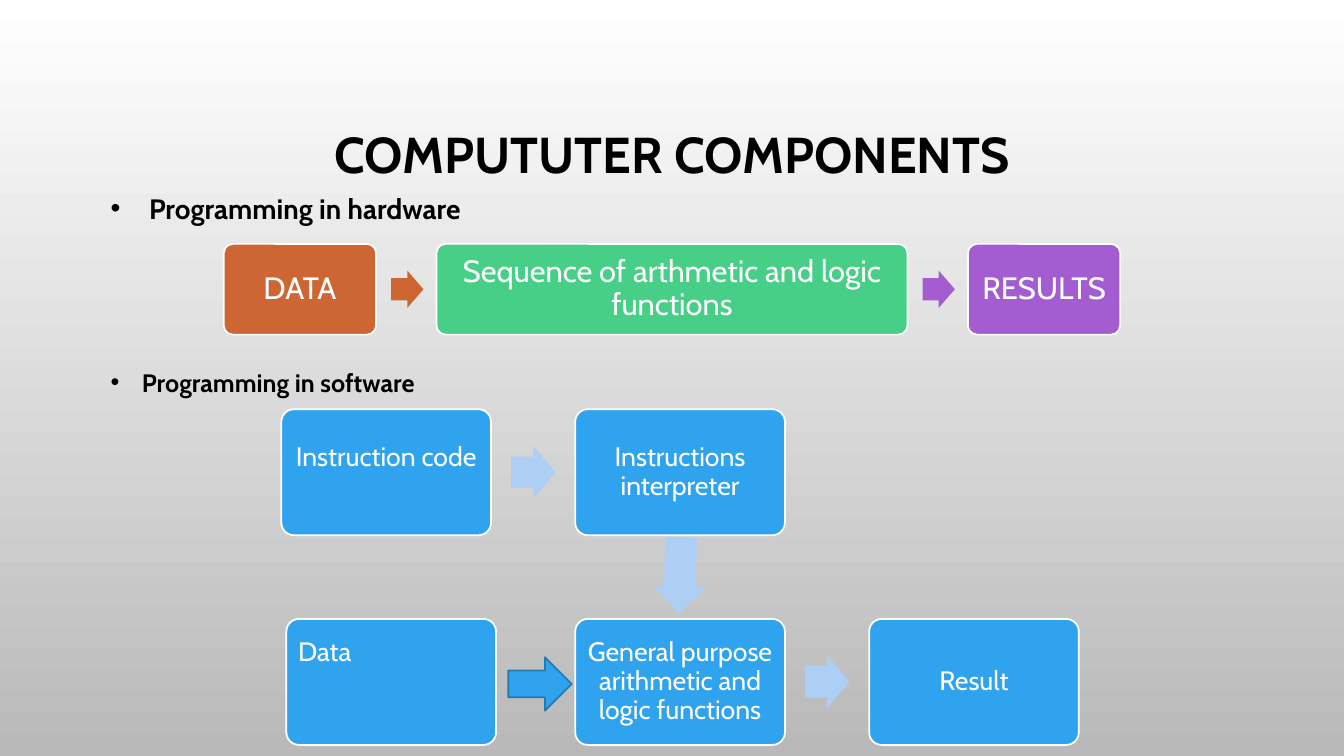
from dataclasses import dataclass

from lxml.etree import SubElement
from pptx import Presentation
from pptx.dml.color import RGBColor
from pptx.enum.shapes import MSO_SHAPE
from pptx.enum.text import MSO_ANCHOR, PP_ALIGN
from pptx.oxml.ns import qn
from pptx.util import Inches, Pt


@dataclass(frozen=True)
class Theme:
    font: str = "Cabin"
    ink: str = "000000"
    white: str = "FFFFFF"
    backdrop_end: str = "B9B9B9"
    orange: str = "CE6633"
    green: str = "48CF87"
    purple: str = "A35DD1"
    blue: str = "2FA3EE"
    blue_edge: str = "2379B0"
    pale_blue: str = "ADCEF5"
    title_size: int = 36
    hardware_heading_size: int = 20
    software_heading_size: int = 18
    hardware_size: int = 22
    software_size: int = 19
    outline: float = 1.25


THEME = Theme()


def apply(target, formats):
    for name, value in formats.items():
        setattr(target, name, value)


def write(frame, text, size, color, bold=False, **paragraph_format):
    paragraph = frame.paragraphs[0]
    apply(paragraph, paragraph_format)
    run = paragraph.add_run()
    run.text = text
    apply(run.font, {"name": THEME.font, "size": Pt(size), "bold": bold})
    run.font.color.rgb = RGBColor.from_string(color)


def paint(shape, fill, edge=None):
    shape.shadow.inherit = False
    shape.fill.solid()
    shape.fill.fore_color.rgb = RGBColor.from_string(fill)
    if edge:
        shape.line.color.rgb = RGBColor.from_string(edge)
        shape.line.width = Pt(THEME.outline)
    else:
        shape.line.fill.background()


def add_block(slide, box, text, fill, size, inset, lift=0, align=PP_ALIGN.CENTER):
    """Rounded block; lift raises its centred text by half that height."""
    block = slide.shapes.add_shape(MSO_SHAPE.ROUNDED_RECTANGLE, *map(Inches, box))
    block.adjustments[0] = 0.1
    paint(block, fill, THEME.white)
    frame = block.text_frame
    margin = Inches(inset)
    apply(frame, {"word_wrap": True, "vertical_anchor": MSO_ANCHOR.MIDDLE,
                  "margin_left": margin, "margin_right": margin,
                  "margin_top": margin, "margin_bottom": Inches(inset + lift)})
    write(frame, text, size, THEME.white, alignment=align, line_spacing=0.9)


def add_arrow(slide, box, fill, edge=None, shaft=0.6, rotation=0):
    arrow = slide.shapes.add_shape(MSO_SHAPE.RIGHT_ARROW, *map(Inches, box))
    arrow.adjustments[0], arrow.adjustments[1] = shaft, 0.5
    arrow.rotation = rotation
    paint(arrow, fill, edge)


def add_backdrop(slide):
    fill = slide.background.fill
    fill.gradient()
    fill.gradient_angle = 270
    for stop, position, color in zip(fill.gradient_stops, (0, 1),
                                     (THEME.white, THEME.backdrop_end)):
        stop.position = position
        stop.color.rgb = RGBColor.from_string(color)


def add_title(slide, box, text):
    title = slide.shapes.title
    apply(title, dict(zip(("left", "top", "width", "height"), map(Inches, box))))
    apply(title.text_frame, {"word_wrap": True, "vertical_anchor": MSO_ANCHOR.MIDDLE})
    write(title.text_frame, text, THEME.title_size, THEME.ink, bold=True,
          alignment=PP_ALIGN.CENTER, line_spacing=0.9)


def add_heading(slide, box, text, size, indent):
    heading = slide.shapes.add_textbox(*map(Inches, box))
    frame = heading.text_frame
    frame.word_wrap = True
    write(frame, text, size, THEME.ink, bold=True)
    properties = frame.paragraphs[0]._p.get_or_add_pPr()
    properties.set("marL", str(Inches(indent)))
    properties.set("indent", str(-Inches(indent)))
    SubElement(properties, qn("a:buFont"), typeface="Arial")
    SubElement(properties, qn("a:buChar"), char="•")


def add_hardware_flow(slide, box):
    left, top, width, height = box
    end_width, gap = 1.51, 0.6
    middle_width = width - 2 * (end_width + gap)
    arrow_width, arrow_height = 0.32, 0.37
    stages = (
        ("DATA", end_width, THEME.orange, THEME.orange),
        ("Sequence of arthmetic and logic functions", middle_width,
         THEME.green, THEME.purple),
        ("RESULTS", end_width, THEME.purple, None),
    )
    for text, stage_width, fill, arrow_fill in stages:
        add_block(slide, (left, top, stage_width, height), text, fill,
                  THEME.hardware_size, inset=0.09)
        left += stage_width
        if arrow_fill:
            add_arrow(slide, (left + 0.15, top + (height - arrow_height) / 2,
                              arrow_width, arrow_height), arrow_fill)
        left += gap


def add_software_flow(slide, box):
    left, top, width, height = box
    block_width, block_height = 2.08, 1.25
    column_step = (width - block_width) / 2
    row_step = height - block_height
    line_height = 0.285
    data_shift = 0.05

    # Blocks: column, row, text, sideways shift, further format
    blocks = (
        (0, 0, "Instruction code", 0, {"lift": line_height}),
        (1, 0, "Instructions interpreter", 0, {}),
        (0, 1, "Data", data_shift, {"lift": 2 * line_height, "align": PP_ALIGN.LEFT}),
        (1, 1, "General purpose arithmetic and logic functions", 0, {}),
        (2, 1, "Result", 0, {}),
    )
    for column, row, text, shift, formats in blocks:
        add_block(slide, (left + column * column_step + shift, top + row * row_step,
                          block_width, block_height),
                  text, THEME.blue, THEME.software_size, inset=0.08, **formats)

    # Pale arrows between columns
    arrow_width, arrow_height = 0.44, 0.52
    arrow_top = (block_height - arrow_height) / 2
    for column, row in ((0, 0), (1, 1)):
        add_arrow(slide, (left + column * column_step + block_width + 0.2,
                          top + row * row_step + arrow_top,
                          arrow_width, arrow_height), THEME.pale_blue)

    # Arrow from the interpreter down to the functions
    down_length = 0.75
    add_arrow(slide, (left + column_step + (block_width - down_length) / 2,
                      top + block_height + 0.14, down_length, arrow_height),
              THEME.pale_blue, rotation=91.5)

    # Outlined arrow from the data to the functions
    add_arrow(slide, (left + block_width + 0.17, top + row_step + 0.38, 0.63, 0.53),
              THEME.blue, THEME.blue_edge, shaft=0.5)


def build_components_slide(presentation):
    slide = presentation.slides.add_slide(presentation.slide_layouts[5])
    add_backdrop(slide)
    add_title(slide, (1, 0.68, 11.33, 1.75), "COMPUTUTER COMPONENTS")
    add_heading(slide, (1, 1.85, 6.17, 0.44), "Programming in hardware",
                THEME.hardware_heading_size, indent=0.38)
    add_hardware_flow(slide, (2.22, 2.42, 8.89, 0.9))
    add_heading(slide, (1, 3.59, 6.7, 0.4), "Programming in software",
                THEME.software_heading_size, indent=0.31)
    add_software_flow(slide, (2.79, 4.06, 7.91, 3.33))


def main():
    presentation = Presentation()
    apply(presentation, {"slide_width": Inches(13.33), "slide_height": Inches(7.5)})
    build_components_slide(presentation)
    presentation.save("out.pptx")


if __name__ == "__main__":
    main()
